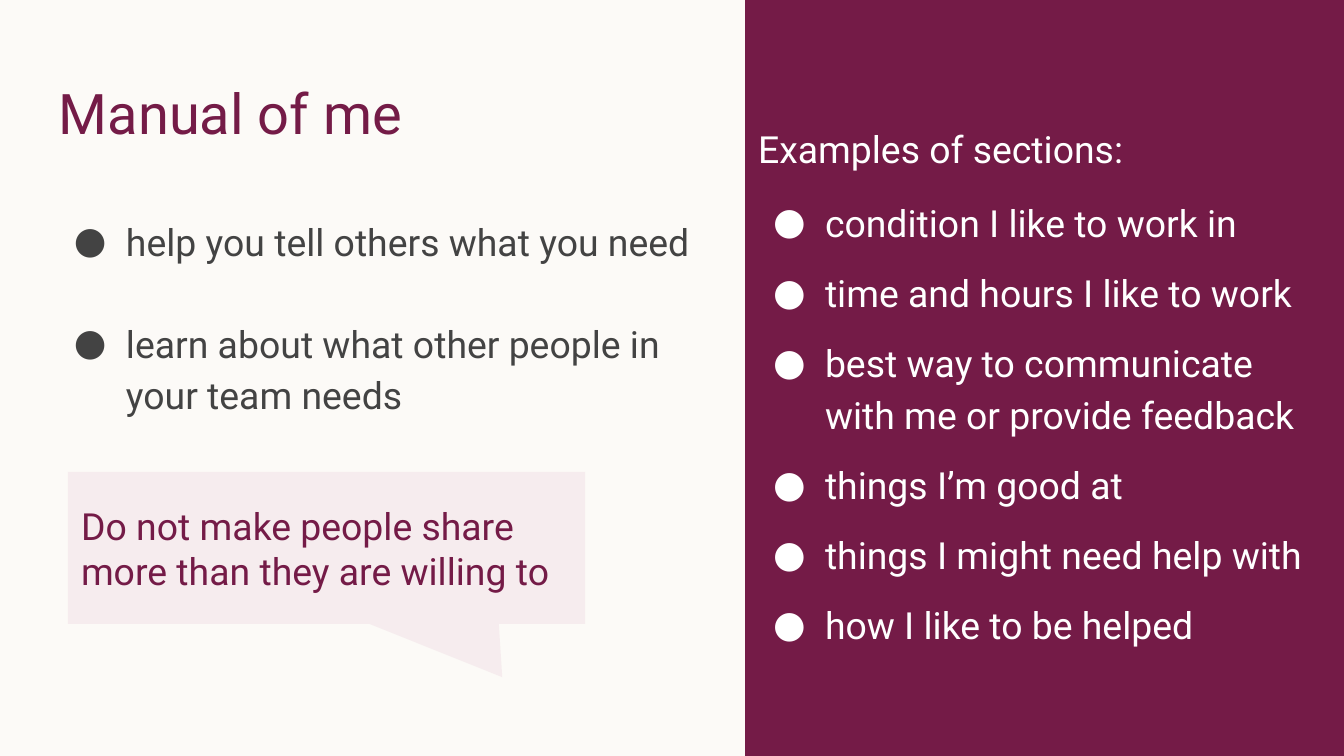
from lxml.etree import SubElement
from pptx import Presentation
from pptx.dml.color import RGBColor
from pptx.enum.shapes import MSO_SHAPE as SHAPE
from pptx.enum.text import MSO_ANCHOR as ANCHOR, MSO_AUTO_SIZE as AUTO_SIZE, PP_ALIGN as ALIGN
from pptx.oxml.ns import qn
from pptx.util import Pt

PX = 914400 / 134.4
WINE, GREY, WHITE = "741B47", "434343", "FFFFFF"


def color(value):
    return RGBColor.from_string(value)


def write(box, place, lines, size, ink, anchor=ANCHOR.TOP):
    """Place a box and fill it; each line is (text, bulleted, space before, line spacing)."""
    box.left, box.top, box.width, box.height = [round(n * PX) for n in place]
    frame = box.text_frame
    frame.word_wrap = True
    frame.auto_size = AUTO_SIZE.NONE
    frame.vertical_anchor = anchor
    frame.margin_left = frame.margin_right = round(13 * PX)
    frame.margin_top = frame.margin_bottom = round(13 * PX)
    for index, (text, bulleted, before, spacing) in enumerate(lines):
        para = frame.paragraphs[0] if index == 0 else frame.add_paragraph()
        para.text = text
        para.alignment = ALIGN.LEFT
        para.space_before, para.space_after = Pt(before), Pt(0)
        para.line_spacing = spacing
        props = para._p.get_or_add_pPr()
        props.set("marL", str(round(67 * PX) if bulleted else 0))
        props.set("indent", str(round(-52 * PX) if bulleted else 0))
        if bulleted:
            tint = SubElement(props, qn("a:buClr"))
            SubElement(tint, qn("a:srgbClr"), val=ink)
            SubElement(props, qn("a:buFont"), typeface="Roboto")
            SubElement(props, qn("a:buChar"), char="●")
        else:
            SubElement(props, qn("a:buNone"))
        for span in para.runs:
            span.font.name = "Roboto"
            span.font.size = Pt(size)
            span.font.color.rgb = color(ink)


deck = Presentation()
deck.slide_width, deck.slide_height = round(1344 * PX), round(756 * PX)
page = deck.slides.add_slide(deck.slide_layouts[3])
page.background.fill.solid()
page.background.fill.fore_color.rgb = color("FCFAF7")
title, purposes, panel = page.placeholders

# Title and purposes on the left
write(title, (46, 66, 1252, 85), [("Manual of me", False, 0, 1)], 30, WINE)
write(purposes, (46, 199, 665, 473), [
    ("help you tell others what you need", True, 0, 1.15),
    ("learn about what other people in your team needs", True, 27, 1.15),
], 20, GREY)

# Callout with the warning
callout = page.shapes.add_shape(SHAPE.RECTANGULAR_CALLOUT, 0, 0, 1, 1)
callout.shadow.inherit = False
callout.adjustments[0], callout.adjustments[1] = 0.34, 0.85
callout.fill.solid()
callout.fill.fore_color.rgb = color("EAD1DC")
fill_color = callout._element.spPr.find(qn("a:solidFill"))[0]
SubElement(fill_color, qn("a:alpha"), val="32000")
callout.line.fill.background()
write(callout, (68, 472, 517, 152),
      [("Do not make people share more than they are willing to", False, 0, 1)],
      20, WINE, ANCHOR.MIDDLE)

# Panel with example sections on the right
sections = [
    "condition I like to work in",
    "time and hours I like to work",
    "best way to communicate with me or provide feedback",
    "things I’m good at",
    "things I might need help with",
    "how I like to be helped",
]
lines = [("Examples of sections:", False, 0, 2)]
lines += [(text, True, 10 if index else 12, 1.15) for index, text in enumerate(sections)]
panel.fill.solid()
panel.fill.fore_color.rgb = color(WINE)
write(panel, (745, 0, 599, 756), lines, 20, WHITE)
panel.text_frame.margin_top = round(81 * PX)

deck.save("out.pptx")
